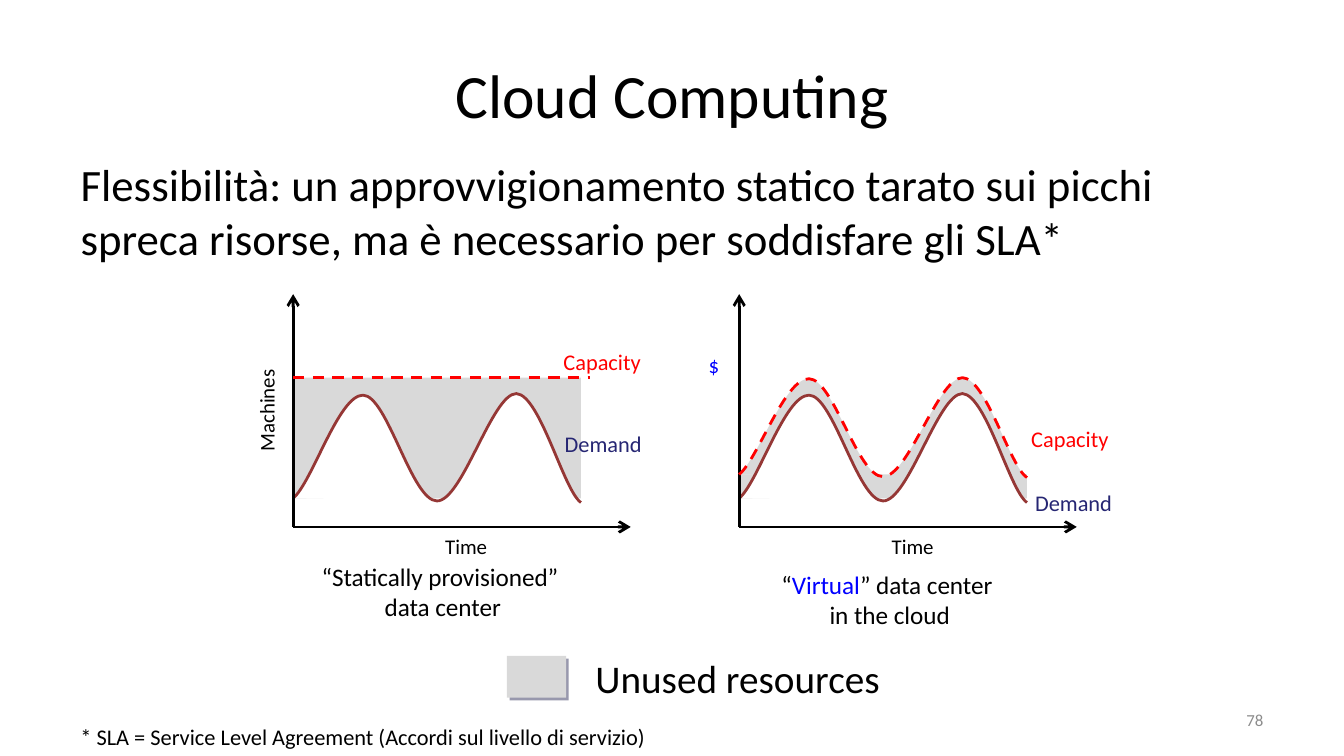
import pptx
import pptx.util
import pptx.dml.color
import pptx.enum.dml
import pptx.enum.shapes
import pptx.enum.text
import pptx.oxml
import pptx.oxml.ns
import pptx.oxml.xmlchemy

Cm = pptx.util.Cm
qn = pptx.oxml.ns.qn
make = pptx.oxml.xmlchemy.OxmlElement
ALIGN = pptx.enum.text.PP_ALIGN
ANCHOR = pptx.enum.text.MSO_ANCHOR
RECT = pptx.enum.shapes.MSO_SHAPE.RECTANGLE

HUES = {"ink": "000000", "paper": "FFFFFF", "unused": "D9D9D9", "demand": "953735",
        "navy": "262673", "red": "FF0000", "blue": "0000FF", "page": "8C8C8C",
        "shade": "161645"}

# Content: lengths in cm
TITLE = "Cloud Computing"
BODY = ("Flessibilità: un approvvigionamento statico tarato sui picchi "
        "spreca risorse, ma è necessario per soddisfare gli SLA*")
LEFT, RIGHT = 5.54, 13.97           # chart origins
TOP, BASE, SPAN = 5.56, 9.96, 6.38  # axis top, axis base, axis length
PEAK, FOOT = 7.14, 9.42             # flat capacity, foot of the unused area
WIDE = 5.44                         # width of the curves

# Bezier points: one start, then three points to a segment
STEPS = [0, 0.36, 0.86, 1.32, 1.78, 2.24, 2.72, 3.2, 3.76, 4.22, 4.67, 5.11, WIDE]
DEMAND = [9.42, 9.12, 7.47, 7.47, 7.47, 9.47, 9.47, 9.47, 7.44, 7.44, 7.47, 9.27, 9.5]
SUPPLY = [8.97, 8.67, 7.15, 7.16, 7.16, 9.02, 9.01, 9.01, 7.14, 7.14, 7.15, 8.81, 9.03]

# Labels: text, (left, top, width, height), format
LABELS = [
    ("Unused resources", (10.97, 12.24, 5.94, 1.14), dict(size=21)),
    ("“Statically provisioned”\n data center", (5.79, 10.49, 5.05, 1.42), dict(size=13.5)),
    ([("“", "ink"), ("Virtual", "blue"), ("” data center \nin the cloud", "ink")],
     (14.48, 10.64, 4.67, 1.42), dict(size=13.5)),
    ("Demand", (10.41, 8, 1.98, 0.76), dict(hue="navy")),
    ("Capacity", (10.39, 6.45, 1.98, 0.76), dict(hue="red")),
    ("Demand", (19.3, 9.12, 1.98, 0.76), dict(hue="navy")),
    ("Capacity", (19.23, 7.92, 1.98, 0.76), dict(hue="red")),
    ("Time", (8.15, 9.96, 1.32, 0.74), dict(size=11.2)),
    ("Time", (16.59, 9.96, 1.32, 0.74), dict(size=11.2)),
    ("Machines", (4.67, 6.86, 0.99, 1.8), dict(size=11.2, turn="vert270")),
    ("$", (13, 6.55, 0.99, 0.74), dict(size=11.2, hue="blue")),
    ("78", (18.21, 13.23, 5.92, 0.76),
     dict(size=9, hue="page", align=ALIGN.RIGHT, anchor=ANCHOR.MIDDLE, wrap=True)),
    ("* SLA = Service Level Agreement (Accordi sul livello di servizio)",
     (1.27, 13.54, 11.43, 0.76), dict(align=ALIGN.LEFT)),
]


def tint(hue):
    return pptx.dml.color.RGBColor.from_string(HUES[hue])


def write(shape, text, size=12, hue="ink", align=ALIGN.CENTER,
          anchor=ANCHOR.TOP, wrap=False, turn=None):
    frame = shape.text_frame
    frame.auto_size = pptx.enum.text.MSO_AUTO_SIZE.NONE
    frame.word_wrap = wrap
    frame.vertical_anchor = anchor
    if turn:
        frame._txBody.bodyPr.set("vert", turn)
    para = frame.paragraphs[0]
    para.alignment = align
    para.space_before = pptx.util.Pt(0)
    for part, shade in [(text, hue)] if isinstance(text, str) else text:
        for row, line in enumerate(part.split("\n")):
            if row:
                para.add_line_break()
            run = para.add_run()
            run.text = line
            run.font.size = pptx.util.Pt(size)
            run.font.name = "Calibri"
            run.font.color.rgb = tint(shade)
    return para


def place(shape, left, top, width, height):
    shape.left, shape.top = Cm(left), Cm(top)
    shape.width, shape.height = Cm(width), Cm(height)


def paint(shape, fill=None, line=None, dash=False):
    shape.shadow.inherit = False
    if fill:
        shape.fill.solid()
        shape.fill.fore_color.rgb = tint(fill)
    else:
        shape.fill.background()
    if line:
        stroke(shape, line, dash)
    else:
        shape.line.fill.background()


def stroke(shape, hue, dash=False):
    shape.line.color.rgb = tint(hue)
    shape.line.width = pptx.util.Pt(1.5)
    if dash:
        shape.line.dash_style = pptx.enum.dml.MSO_LINE.DASH


def block(shapes, left, top, width, height):
    shape = shapes.add_shape(RECT, Cm(left), Cm(top), Cm(width), Cm(height))
    paint(shape, "unused")
    return shape


def curve(shapes, left, rows, **look):
    spots = [(round((left + x) * 100), round(y * 100)) for x, y in zip(STEPS, rows)]
    pen = shapes.build_freeform(*spots[0], scale=Cm(0.01))
    pen.add_line_segments(spots[1:], close=False)
    shape = pen.convert_to_shape()
    # Turn each three line points into one Bezier segment
    trace = shape._element.spPr.find(".//" + qn("a:path"))
    legs = trace.findall(qn("a:lnTo"))
    for start in range(0, len(legs), 3):
        bend = make("a:cubicBezTo")
        trace.append(bend)
        for leg in legs[start:start + 3]:
            bend.append(leg[0])
            trace.remove(leg)
    paint(shape, **look)


def rule(shapes, x1, y1, x2, y2, hue="ink", dash=False, arrow=True):
    line = shapes.add_connector(pptx.enum.shapes.MSO_CONNECTOR.STRAIGHT,
                                Cm(x1), Cm(y1), Cm(x2), Cm(y2))
    stroke(line, hue, dash)
    props = line._element.spPr
    if arrow:
        head = make("a:tailEnd")
        head.set("type", "arrow")
        props.find(qn("a:ln")).append(head)
    props.append(make("a:effectLst"))


def main():
    deck = pptx.Presentation()
    deck.slide_width, deck.slide_height = Cm(25.4), Cm(14.29)
    slide = deck.slides.add_slide(deck.slide_layouts[1])
    shapes = slide.shapes

    # Title and body
    title, body = slide.placeholders
    place(title, 1.27, 0.58, 22.86, 2.39)
    write(title, TITLE, size=33, anchor=ANCHOR.MIDDLE, wrap=True)
    place(body, 1.27, 2.84, 22.86, 10.95)
    props = write(body, BODY, size=24, align=ALIGN.LEFT, wrap=True)._p.get_or_add_pPr()
    props.set("marL", "0")
    props.set("indent", "0")
    props.append(make("a:buNone"))

    # Unused areas
    block(shapes, LEFT, PEAK, WIDE, FOOT - PEAK)
    block(shapes, RIGHT, SUPPLY[0], WIDE, FOOT - SUPPLY[0])
    curve(shapes, RIGHT, SUPPLY, fill="unused")

    # Demand curves and axes
    for left in (LEFT, RIGHT):
        curve(shapes, left, DEMAND, fill="paper", line="demand")
        rule(shapes, left, BASE, left, TOP)
        rule(shapes, left, BASE, left + SPAN, BASE)

    # Capacity: flat on the left, following demand on the right
    rule(shapes, LEFT, PEAK, LEFT + 5.61, PEAK, hue="red", dash=True, arrow=False)
    curve(shapes, RIGHT, SUPPLY, line="red", dash=True)

    # Legend swatch with its shadow
    swatch = block(shapes, 9.58, 12.4, 1.12, 0.79)
    cast = pptx.oxml.parse_xml(
        '<a:outerShdw xmlns:a="http://schemas.openxmlformats.org/drawingml/2006/main" '
        'blurRad="0" dist="25400" dir="2700000" algn="ctr" rotWithShape="0">'
        f'<a:srgbClr val="{HUES["shade"]}"><a:alpha val="43000"/></a:srgbClr></a:outerShdw>')
    swatch._element.spPr.find(qn("a:effectLst")).append(cast)

    # Labels
    for text, spot, look in LABELS:
        write(shapes.add_textbox(*map(Cm, spot)), text, **look)

    deck.save("out.pptx")


if __name__ == "__main__":
    main()
